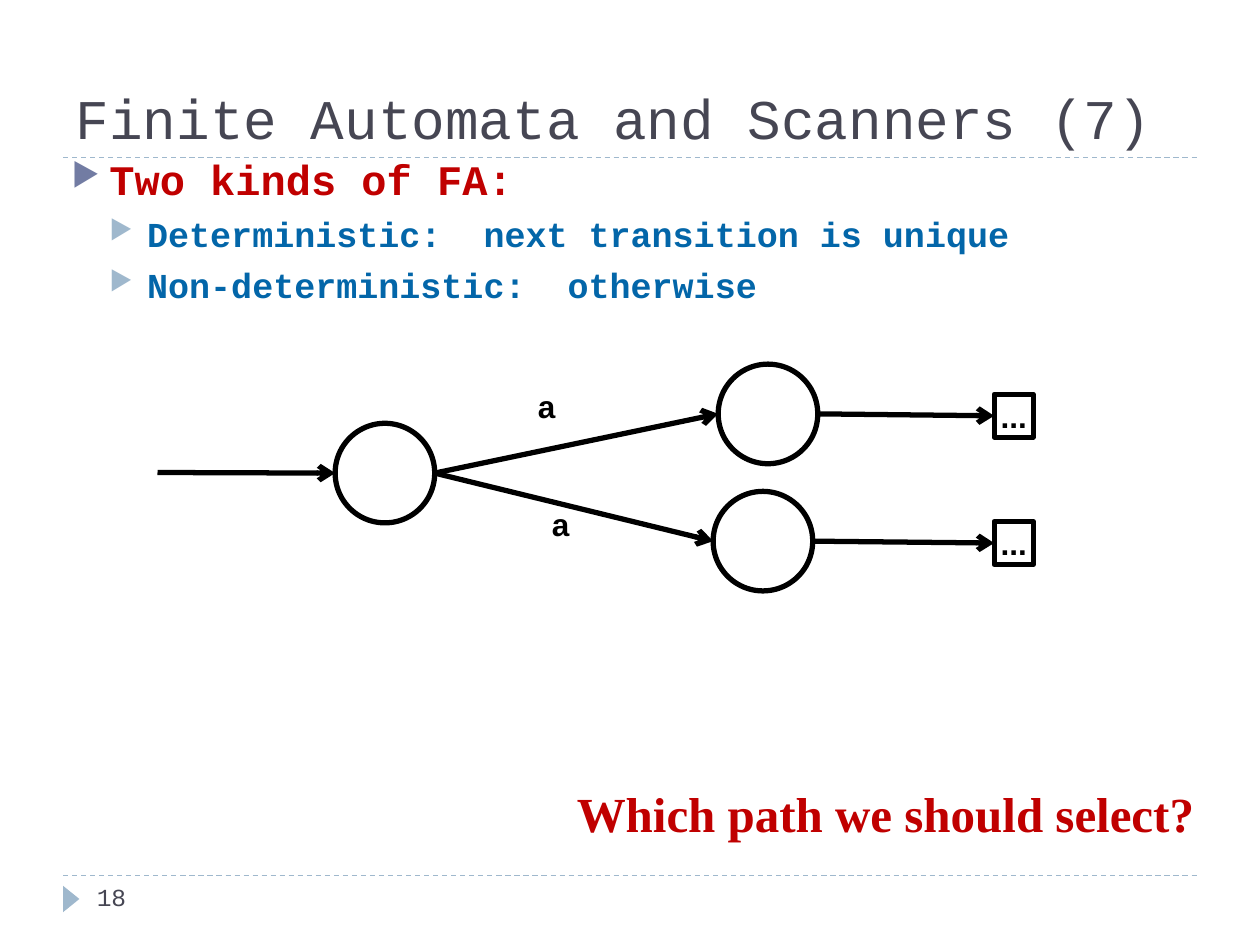
from dataclasses import dataclass

from lxml import etree
from pptx import Presentation
from pptx import util as u
from pptx.dml.color import RGBColor
from pptx.enum import dml, shapes, text
from pptx.oxml.ns import qn


@dataclass(frozen=True)
class Theme:
    mono: str = "Courier New"
    sans: str = "Arial"
    serif: str = "Times New Roman"
    black: str = "000000"
    slate: str = "464653"
    red: str = "C00000"
    blue: str = "0366A9"
    pale: str = "9FB8CD"
    violet: str = "727CA3"
    title: int = 32
    question: int = 28
    body: int = 24
    sub: int = 20
    label: int = 18
    number: int = 14
    rule: float = 0.75
    stroke: float = 3


NARROW = (0.05, 0.02)
WIDE = (0.1, 0.05)


class Slide:
    def __init__(self, prs, theme):
        self.t = theme
        self.s = prs.slides.add_slide(prs.slide_layouts[5])

    def run(self, p, words, size, font, color, bold=False):
        r = p.add_run()
        r.text = words
        r.font.size, r.font.name, r.font.bold = u.Pt(size), font, bold
        r.font.color.rgb = RGBColor.from_string(color)

    def frame(self, sp, inset=WIDE, wrap=True, anchor=text.MSO_ANCHOR.TOP):
        tf = sp.text_frame
        tf.word_wrap, tf.vertical_anchor = wrap, anchor
        tf.auto_size = text.MSO_AUTO_SIZE.NONE
        tf.margin_left = tf.margin_right = u.Inches(inset[0])
        tf.margin_top = tf.margin_bottom = u.Inches(inset[1])
        return tf

    def title(self, words, box):
        sp = self.s.shapes.title
        sp.left, sp.top, sp.width, sp.height = map(u.Inches, box)
        p = self.frame(sp, anchor=text.MSO_ANCHOR.BOTTOM).paragraphs[0]
        p.alignment = text.PP_ALIGN.LEFT
        self.run(p, words, self.t.title, self.t.mono, self.t.slate)

    def textbox(self, box, words, size, font, color, bold=True, **frame):
        sp = self.s.shapes.add_textbox(*map(u.Inches, box))
        p = self.frame(sp, **frame).paragraphs[0]
        self.run(p, words, size, font, color, bold)

    def bullets(self, box, items):
        sp = self.s.shapes.add_textbox(*map(u.Inches, box))
        tf = self.frame(sp)
        styles = ((self.t.body, self.t.red, self.t.violet),
                  (self.t.sub, self.t.blue, self.t.pale))
        for i, (level, words) in enumerate(items):
            size, color, mark = styles[level]
            p = tf.add_paragraph() if i else tf.paragraphs[0]
            p.level = level
            if i:
                p.space_before = u.Pt(5)
            pPr = p._p.get_or_add_pPr()
            pPr.set("marL", str(u.Inches(0.3 * (level + 1))))
            pPr.set("indent", str(u.Inches(-0.3)))
            clr = etree.SubElement(pPr, qn("a:buClr"))
            etree.SubElement(clr, qn("a:srgbClr"), val=mark)
            etree.SubElement(pPr, qn("a:buSzPct"), val="76000")
            etree.SubElement(pPr, qn("a:buChar"), char="▶")
            self.run(p, words, size, self.t.mono, color, True)

    def shape(self, kind, box, fill=None):
        sp = self.s.shapes.add_shape(kind, *map(u.Inches, box))
        sp.shadow.inherit = False
        if fill:
            sp.fill.solid()
            sp.fill.fore_color.rgb = RGBColor.from_string(fill)
            sp.line.fill.background()
        else:
            sp.fill.background()
            sp.line.color.rgb = RGBColor.from_string(self.t.black)
            sp.line.width = u.Pt(self.t.stroke)
        return sp

    def state(self, x, y, d=0.79):
        self.shape(shapes.MSO_SHAPE.OVAL, (x, y, d, d))
        return (x, y + d / 2), (x + d, y + d / 2)

    def more(self, x, y):
        sp = self.shape(shapes.MSO_SHAPE.RECTANGLE, (x, y, 0.31, 0.34))
        tf = self.frame(sp, NARROW, False, text.MSO_ANCHOR.MIDDLE)
        p = tf.paragraphs[0]
        p.alignment = text.PP_ALIGN.CENTER
        self.run(p, "...", self.t.label, self.t.sans, self.t.black, True)
        return sp

    def line(self, start, end, color, width):
        c = self.s.shapes.add_connector(
            shapes.MSO_CONNECTOR.STRAIGHT, *map(u.Inches, (*start, *end)))
        c.line.color.rgb = RGBColor.from_string(color)
        c.line.width = u.Pt(width)
        etree.SubElement(c._element.spPr, qn("a:effectLst"))
        return c

    def rule(self, y):
        c = self.line((0.5, y), (9.5, y), self.t.pale, self.t.rule)
        c.line.dash_style = dml.MSO_LINE.DASH

    def arrow(self, start, end, target=None):
        c = self.line(start, end, self.t.black, self.t.stroke)
        etree.SubElement(c.line._get_or_add_ln(), qn("a:tailEnd"), type="arrow")
        if target is not None:
            c.end_connect(target, 1)


def main():
    prs = Presentation()
    prs.slide_width, prs.slide_height = u.Inches(10), u.Inches(7.5)
    t = Theme()
    s = Slide(prs, t)

    # Rules and footer marker
    for y in (6.95, 1.25):
        s.rule(y)
    marker = s.shape(shapes.MSO_SHAPE.ISOSCELES_TRIANGLE,
                     (0.46, 7.07, 0.21, 0.13), t.pale)
    marker.rotation = 90

    # Title, bullets and slide number
    s.bullets((0.47, 1.17, 9, 5.4), [
        (0, "Two kinds of FA:"),
        (1, "Deterministic:  next transition is unique"),
        (1, "Non-deterministic:  otherwise"),
    ])
    s.title("Finite Automata and Scanners (7)", (0.5, 0.17, 9, 1.08))
    s.textbox((0.67, 6.95, 2.17, 0.4), "18", t.number, t.mono, t.slate, False)

    # Automaton: a start state and two branches
    start_in, start_out = s.state(2.66, 3.36)
    s.arrow((1.25, 3.75), start_in)
    for state_at, more_at in (((5.7, 2.89), (7.89, 3.13)),
                              ((5.66, 3.9), (7.89, 4.14))):
        left, right = s.state(*state_at)
        more = s.more(*more_at)
        s.arrow(start_out, left)
        s.arrow(right, more_at, more)

    # Transition labels
    for x, y in ((4.22, 3.05), (4.33, 3.99)):
        s.textbox((x, y, 0.3, 0.34), "a", t.label, t.sans, t.black,
                  inset=NARROW)

    # Closing question
    s.textbox((4.48, 6.17, 5.1, 0.57), "Which path we should select?",
              t.question, t.serif, t.red, wrap=False)

    prs.save("out.pptx")


if __name__ == "__main__":
    main()
